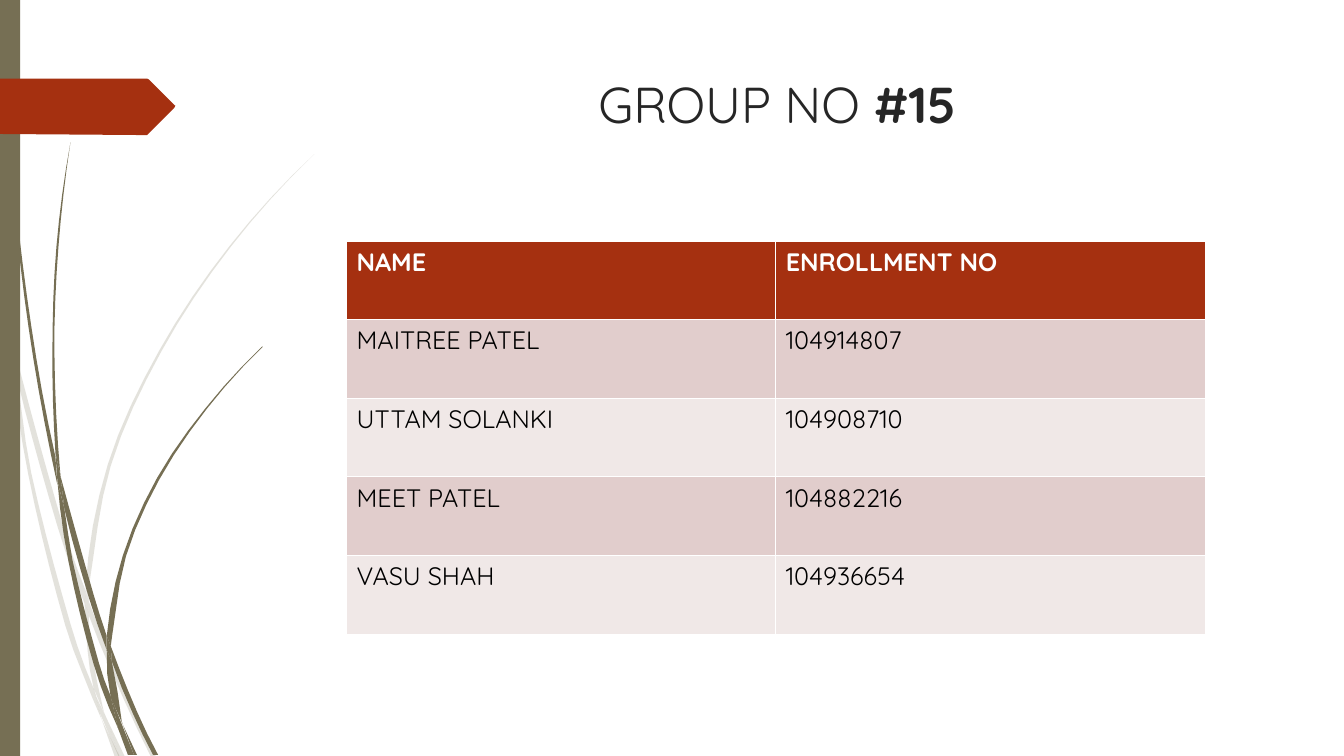
from dataclasses import dataclass
from math import ceil

from lxml import etree
from pptx import Presentation
from pptx.dml.color import RGBColor
from pptx.enum.text import MSO_ANCHOR, PP_ALIGN
from pptx.enum.shapes import MSO_SHAPE
from pptx.oxml.ns import qn
from pptx.util import Inches, Pt

RECT = MSO_SHAPE.RECTANGLE
TOP = MSO_ANCHOR.TOP
LEFT, CENTER = PP_ALIGN.LEFT, PP_ALIGN.CENTER


@dataclass(frozen=True)
class Theme:
    font: str = "Quicksand"
    title_size: int = 36
    cell_size: int = 18
    title: str = "262626"
    ink: str = "000000"
    white: str = "FFFFFF"
    accent: str = "A53010"
    olive: str = "766F54"
    bands: tuple = ("E1CDCC", "F0E8E7")
    thin: float = 0.45
    thick: float = 1.47
    pale_alpha: int = 20


PALE_BLADES = [
    [[(0.11, 3.5), (0.08, 3.22), (0, 2.82)], [(0, 2.99), (0.11, 3.5)]],
    [[(0.14, 3.45), (0.17, 3.76), (0.57, 5.22), (0.84, 5.99)],
     [(0.85, 5.86), (0.62, 5.2), (0.14, 3.45)]],
    [[(0.88, 5.96), (0.88, 6.1), (1.23, 6.94), (1.5, 7.51)],
     [(1.55, 7.51), (1.27, 6.92), (0.92, 6.07), (0.88, 5.96)]],
    [[(1.19, 7.51), (1.24, 7.51)], [(1.05, 7.11), (1.19, 7.51)]],
    [[(0.93, 6.83), (0.7, 6.19), (0.31, 4.69), (0.17, 3.76), (0.11, 3.5)],
     [(0.11, 3.5), (0.28, 4.7), (0.65, 6.21), (0.92, 6.93), (1.01, 7.14)],
     [(0.99, 7.07), (0.93, 6.83)]],
    [[(0.84, 5.99), (0.87, 6.46), (0.93, 6.83), (1.05, 7.11)],
     [(1.03, 7.06), (0.91, 6.46), (0.88, 6.08)]],
    [[(0.88, 5.96), (0.88, 5.84), (1.1, 4.62), (1.6, 3.49), (2.29, 2.45), (3.12, 1.53)],
     [(3.12, 1.53), (2.28, 2.44), (1.58, 3.48), (1.07, 4.61), (0.85, 5.84)]],
    [[(1.01, 7.14), (1.14, 7.51)], [(1.19, 7.51), (1.01, 7.14)]],
    [[(0.88, 6.08), (0.88, 5.96)], [(0.85, 5.86), (0.84, 5.99)]],
    [[(0.96, 6.92), (0.93, 6.83)], [(0.99, 7.07), (1.18, 7.51)], [(1.19, 7.51), (1.05, 7.11)]],
]

OLIVE_BLADES = [
    [[(0.03, 0), (0.07, 1.1), (0.17, 2.33), (0.33, 3.55), (0.57, 4.81)],
     [(0.55, 4.53), (0.36, 3.55), (0.19, 2.32), (0.08, 1.09), (0.03, 0)]],
    [[(0.6, 4.72), (0.64, 5.05), (0.88, 5.92), (1.06, 6.45)],
     [(1.06, 6.31), (0.93, 5.9), (0.6, 4.72)]],
    [[(1.1, 6.41), (1.11, 6.56), (1.32, 7.08), (1.52, 7.49)],
     [(1.57, 7.49), (1.36, 7.06), (1.1, 6.41)]],
    [[(1.1, 6.91), (0.98, 6.57), (0.72, 5.56), (0.64, 5.05), (0.57, 4.77)],
     [(0.57, 4.77), (0.68, 5.57), (0.93, 6.59), (1.17, 7.22)],
     [(1.16, 7.17), (1.1, 6.91)]],
    [[(0.6, 4.72), (0.54, 3.49), (0.58, 2.45), (0.7, 1.41)],
     [(0.7, 1.41), (0.56, 2.45), (0.52, 3.49), (0.55, 4.49)]],
    [[(1.33, 7.49), (1.36, 7.49)], [(1.22, 7.19), (1.33, 7.49)]],
    [[(0.57, 4.77), (0.64, 5.05)], [(0.6, 4.72), (0.55, 4.49)]],
    [[(1.1, 6.41), (1.11, 6.33), (1.25, 5.52), (1.58, 4.76), (2.05, 4.06), (2.61, 3.44)],
     [(2.6, 3.44), (2.04, 4.05), (1.56, 4.74), (1.22, 5.51), (1.06, 6.31)]],
    [[(1.17, 7.22), (1.27, 7.49)], [(1.31, 7.49), (1.17, 7.22)]],
    [[(1.06, 6.45), (1.1, 6.92), (1.22, 7.19)], [(1.21, 7.16), (1.11, 6.56), (1.06, 6.45)]],
    [[(1.06, 6.45), (1.11, 6.56)], [(1.1, 6.41), (1.06, 6.31)]],
    [[(1.16, 7.06), (1.1, 6.91)], [(1.17, 7.22), (1.3, 7.49)], [(1.33, 7.49), (1.16, 7.06)]],
]

FLAG = [(0, 0.78), (1.46, 0.78), (1.48, 0.79), (1.73, 1.04), (1.74, 1.05), (1.73, 1.07),
        (1.48, 1.32), (1.46, 1.34), (1.36, 1.34), (0, 1.33)]

MEMBERS = [
    ("NAME", "ENROLLMENT NO"),
    ("MAITREE PATEL", "104914807"),
    ("UTTAM SOLANKI", "104908710"),
    ("MEET PATEL", "104882216"),
    ("VASU SHAH", "104936654"),
]


def smooth(edge, steps_per_inch=3):
    """Return points on a smooth curve through the points of one edge."""
    z = [complex(*pt) for pt in edge]
    chords = [b - a for a, b in zip(z, z[1:])]
    units = [c / abs(c) for c in chords]
    inner = [(b - a) / abs(b - a) for a, b in zip(z, z[2:])]
    if not inner:
        return edge
    tangents = [units[0] ** 2 / inner[0], *inner, units[-1] ** 2 / inner[-1]]
    curve = [z[0]]
    for i, chord in enumerate(chords):
        steps = ceil(abs(chord) * steps_per_inch)
        for step in range(1, steps + 1):
            t = step / steps
            pull = t * (1 - t) * abs(chord) * ((1 - t) * tangents[i] - t * tangents[i + 1])
            curve.append(z[i] + t * t * (3 - 2 * t) * chord + pull)
    return [(pt.real, pt.imag) for pt in curve]


def add_text(p, text, *, font, size, color, bold=False, align=LEFT):
    """Add one formatted run to a paragraph."""
    p.alignment = align
    r = p.add_run()
    r.text = text
    r.font.name, r.font.size, r.font.bold = font, Pt(size), bold
    r.font.color.rgb = RGBColor.from_string(color)


class SlideBuilder:
    """Draw styled elements on one slide."""

    def __init__(self, s, theme):
        self.s, self.theme = s, theme

    def paint(self, sp, color, alpha=None):
        """Give a shape a flat fill without line or shadow."""
        sp.shadow.inherit = False
        sp.line.fill.background()
        sp.fill.solid()
        sp.fill.fore_color.rgb = RGBColor.from_string(color)
        if alpha is not None:
            clr = sp._element.spPr.find(qn("a:solidFill"))[0]
            etree.SubElement(clr, qn("a:alpha"), val=str(alpha * 1000))

    def bar(self, x, y, w, h, color):
        """Draw a plain rectangle."""
        self.paint(self.s.shapes.add_shape(RECT, Inches(x), Inches(y), Inches(w), Inches(h)), color)

    def outline(self, points, color, alpha=None):
        """Draw a closed outline through points in inches."""
        start, *rest = [(Inches(x), Inches(y)) for x, y in points]
        builder = self.s.shapes.build_freeform(*start)
        builder.add_line_segments(rest, close=True)
        self.paint(builder.convert_to_shape(), color, alpha)

    def grass(self, blades, alpha=None):
        """Draw blades whose edges are smooth curves."""
        for edges in blades:
            self.outline([pt for edge in edges for pt in smooth(edge)], self.theme.olive, alpha)

    def title(self, x, y, w, h, parts):
        """Draw the centred title from text and bold pairs."""
        tf = self.s.shapes.add_textbox(Inches(x), Inches(y), Inches(w), Inches(h)).text_frame
        tf.word_wrap, tf.vertical_anchor = True, TOP
        for text, bold in parts:
            add_text(tf.paragraphs[0], text, font=self.theme.font, size=self.theme.title_size,
                     color=self.theme.title, bold=bold, align=CENTER)

    def borders(self, cell, widths):
        """Set the white borders of a cell by side."""
        for side, width in widths.items():
            ln = etree.SubElement(cell._tc.get_or_add_tcPr(), qn(f"a:ln{side}"), w=str(Pt(width)))
            fill = etree.SubElement(ln, qn("a:solidFill"))
            etree.SubElement(fill, qn("a:srgbClr"), val=self.theme.white)

    def table(self, x, y, col_w, row_h, rows):
        """Draw a banded table with a header row."""
        th, cols = self.theme, len(rows[0])
        table = self.s.shapes.add_table(len(rows), cols, Inches(x), Inches(y),
                                        Inches(col_w * cols), Inches(row_h * len(rows))).table
        for i, row in enumerate(rows):
            header = i == 0
            for j, text in enumerate(row):
                cell = table.cell(i, j)
                self.borders(cell, {"L": th.thin, "R": th.thin,
                                    "T": th.thick if i == 1 else th.thin,
                                    "B": th.thick if header else th.thin})
                cell.fill.solid()
                fill = th.accent if header else th.bands[(i - 1) % 2]
                cell.fill.fore_color.rgb = RGBColor.from_string(fill)
                add_text(cell.text_frame.paragraphs[0], text, font=th.font, size=th.cell_size,
                         color=th.white if header else th.ink, bold=header)


def main():
    """Build and save the slide."""
    prs = Presentation()
    prs.slide_width, prs.slide_height = Inches(13.34), Inches(7.5)
    theme = Theme()
    slide = SlideBuilder(prs.slides.add_slide(prs.slide_layouts[6]), theme)
    slide.grass(PALE_BLADES, theme.pale_alpha)
    slide.grass(OLIVE_BLADES)
    slide.bar(0, 0, 0.2, 7.5, theme.olive)
    slide.outline(FLAG, theme.accent)
    slide.title(2.84, 0.68, 9.75, 1.4, [("GROUP NO ", False), ("#15", True)])
    slide.table(3.44, 2.39, 4.26, 0.78, MEMBERS)
    prs.save("out.pptx")


if __name__ == "__main__":
    main()
